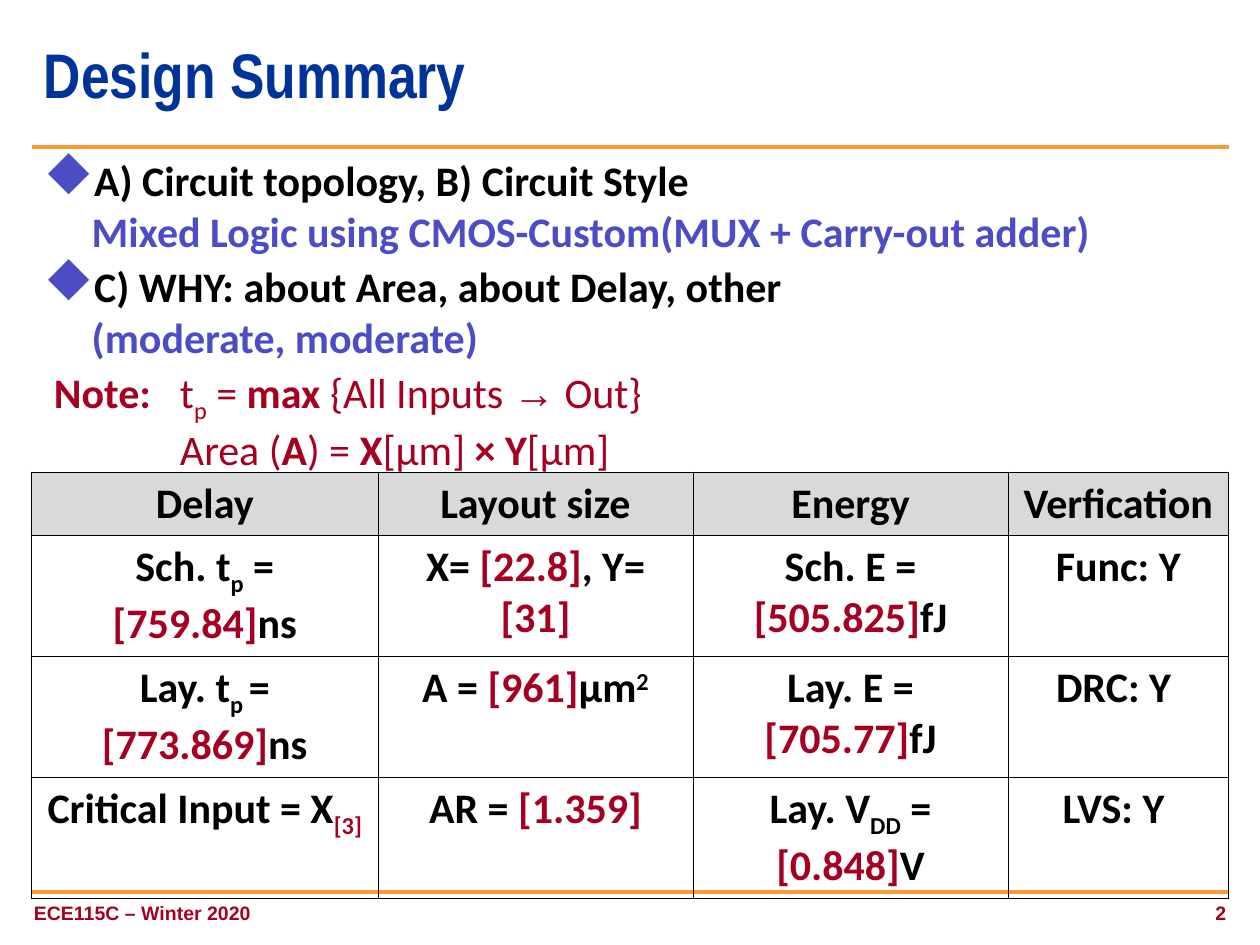
from lxml.etree import SubElement
from pptx import Presentation
from pptx.dml.color import RGBColor
from pptx.enum.shapes import MSO_CONNECTOR
from pptx.enum.text import MSO_ANCHOR, PP_ALIGN
from pptx.oxml.ns import qn
from pptx.util import Inches, Pt

rgb = RGBColor.from_string
BLACK, RED, VIOLET, NAVY = "000000", "A50021", "4C4CC4", "003399"
ORANGE, GRAY = "FF9933", "D9D9D9"
SUB, SUP = -25, 30


def add_runs(paragraph, runs, size=24, name="Calibri", bold=True, color=BLACK):
    """Add (text, changes) runs; a "\\n" text becomes a line break."""
    for text, changes in runs:
        if text == "\n":
            paragraph.add_line_break()
            continue
        style = {"size": size, "name": name, "bold": bold, "color": color} | changes
        run = paragraph.add_run()
        run.text = text
        run.font.size = Pt(style["size"])
        run.font.name = style["name"]
        run.font.bold = style["bold"]
        run.font.color.rgb = rgb(style["color"])
        if "baseline" in style:
            run.font._element.set("baseline", str(style["baseline"] * 1000))


def add_text_frame(left, top, width, height, **formats):
    box = slide.shapes.add_textbox(*map(Inches, (left, top, width, height)))
    box.text_frame.word_wrap = True
    for attribute, value in formats.items():
        setattr(box.text_frame, attribute, value)
    return box.text_frame


presentation = Presentation()
presentation.slide_width, presentation.slide_height = Inches(10), Inches(7.5)
slide = presentation.slides.add_slide(presentation.slide_layouts[6])

# Rules above the footer and below the title
for y in (7.08, 1.17):
    rule = slide.shapes.add_connector(
        MSO_CONNECTOR.STRAIGHT, Inches(0.25), Inches(y), Inches(9.75), Inches(y))
    rule.line.color.rgb = rgb(ORANGE)
    rule.line.width = Pt(2.25)
    SubElement(rule._element.spPr, qn("a:effectLst"))

# Title
title = add_text_frame(0.25, 0.17, 9.5, 0.92, vertical_anchor=MSO_ANCHOR.MIDDLE)
title.paragraphs[0].line_spacing = 0.85
add_runs(title.paragraphs[0], [("Design Summary", {})], 36, "Arial Narrow", color=NAVY)

# Bulleted questions with their answers
bullets = [
    ("A) Circuit topology, B) Circuit Style",
     "Mixed Logic using CMOS-Custom(MUX + Carry-out adder)"),
    ("C) WHY: about Area, about Delay, other", "(moderate, moderate)"),
]
body = add_text_frame(0.25, 1.18, 9.5, 2)
for index, (question, answer) in enumerate(bullets):
    paragraph = body.add_paragraph() if index else body.paragraphs[0]
    properties = paragraph._p.get_or_add_pPr()
    properties.set("marL", str(Inches(0.38)))
    properties.set("indent", str(-Inches(0.38)))
    bullet_color = SubElement(properties, qn("a:buClr"))
    SubElement(bullet_color, qn("a:srgbClr"), val=VIOLET)
    SubElement(properties, qn("a:buSzPct"), val="120000")
    # The letter u is a diamond in this symbol font
    SubElement(properties, qn("a:buFont"), typeface="Wingdings", charset="2")
    SubElement(properties, qn("a:buChar"), char="u")
    paragraph.space_before = Pt(1.5 if index else 0)
    paragraph.space_after = Pt(1.5)
    add_runs(paragraph, [(question, {}), ("\n", {}), (answer, {"color": VIOLET})])

# Note with the definitions lined up on a tab stop
bold = {"bold": True}
note_lines = [
    [("Note:\t", bold), ("t", {}), ("p", {"baseline": SUB}), (" = ", {}),
     ("max ", bold), ("{All Inputs ", {}), ("→", {"name": "Arial"}), (" Out}", {})],
    [("\tArea (", {}), ("A", bold), (") = ", {}), ("X", bold), ("[µm] ", {}),
     ("× Y", bold), ("[µm]", {})],
]
note = add_text_frame(0.33, 2.86, 5.32, 0.96)
for index, runs in enumerate(note_lines):
    paragraph = note.add_paragraph() if index else note.paragraphs[0]
    tab_list = SubElement(paragraph._p.get_or_add_pPr(), qn("a:tabLst"))
    SubElement(tab_list, qn("a:tab"), pos=str(Inches(1)), algn="l")
    add_runs(paragraph, runs, bold=False, color=RED)

# Footer
for left, width, text, alignment in [
    (0.17, 3.17, "ECE115C – Winter 2020", PP_ALIGN.LEFT),
    (7.75, 2.08, "2", PP_ALIGN.RIGHT),
]:
    footer = add_text_frame(left, 6.92, width, 0.5, margin_top=Inches(0.25))
    paragraph = footer.paragraphs[0]
    paragraph.alignment = alignment
    paragraph.line_spacing = 0.9
    add_runs(paragraph, [(text, {})], 11.1, "Arial", color=RED)

# Results table
red, sub, sup = {"color": RED}, {"baseline": SUB}, {"baseline": SUP}
rows = [
    [[(heading, {})] for heading in ("Delay", "Layout size", "Energy", "Verfication")],
    [[("Sch. t", {}), ("p", sub), (" = ", {}), ("[759.84]", red), ("ns", {})],
     [("X= ", {}), ("[22.8]", red), (", Y= ", {}), ("[31]", red)],
     [("Sch. E = ", {}), ("[505.825]", red), ("fJ", {})],
     [("Func: Y", {})]],
    [[("Lay. t", {}), ("p ", sub), ("= ", {}), ("[773.869]", red), ("ns", {})],
     [("A = ", {}), ("[961]", red), ("µm", {}), ("2", sup)],
     [("Lay. E = ", {}), ("[705.77]", red), ("fJ", {})],
     [("DRC: Y ", {})]],
    [[("Critical Input = X", {}), ("[3]", red | sub)],
     [("AR = ", {}), ("[1.359]", red)],
     [("Lay. V", {}), ("DD", sub), (" = ", {}), ("[0.848]", red), ("V", {})],
     [("LVS: Y ", {})]],
]
column_widths = [2.75, 2.5, 2.5, 1.75]
row_heights = [0.5, 0.96, 0.96, 0.96]
table = slide.shapes.add_table(
    len(rows), len(column_widths), Inches(0.25), Inches(3.75),
    Inches(sum(column_widths)), Inches(sum(row_heights))).table
table.first_row = table.horz_banding = False
for column, width in zip(table.columns, column_widths):
    column.width = Inches(width)
for row, height in zip(table.rows, row_heights):
    row.height = Inches(height)

for r, row in enumerate(rows):
    for c, runs in enumerate(row):
        cell = table.cell(r, c)
        paragraph = cell.text_frame.paragraphs[0]
        paragraph.alignment = PP_ALIGN.CENTER
        add_runs(paragraph, runs)
        outer_sides = {"L": c == 0, "R": c == len(row) - 1,
                       "T": r == 0, "B": r == len(rows) - 1}
        for side, is_outer in outer_sides.items():
            border = SubElement(cell._tc.get_or_add_tcPr(), qn(f"a:ln{side}"),
                                w=str(Pt(1.08 if is_outer else 0.45)))
            SubElement(SubElement(border, qn("a:solidFill")), qn("a:srgbClr"), val=BLACK)
        if r == 0:
            cell.fill.solid()
            cell.fill.fore_color.rgb = rgb(GRAY)
        else:
            cell.fill.background()

presentation.save("out.pptx")
